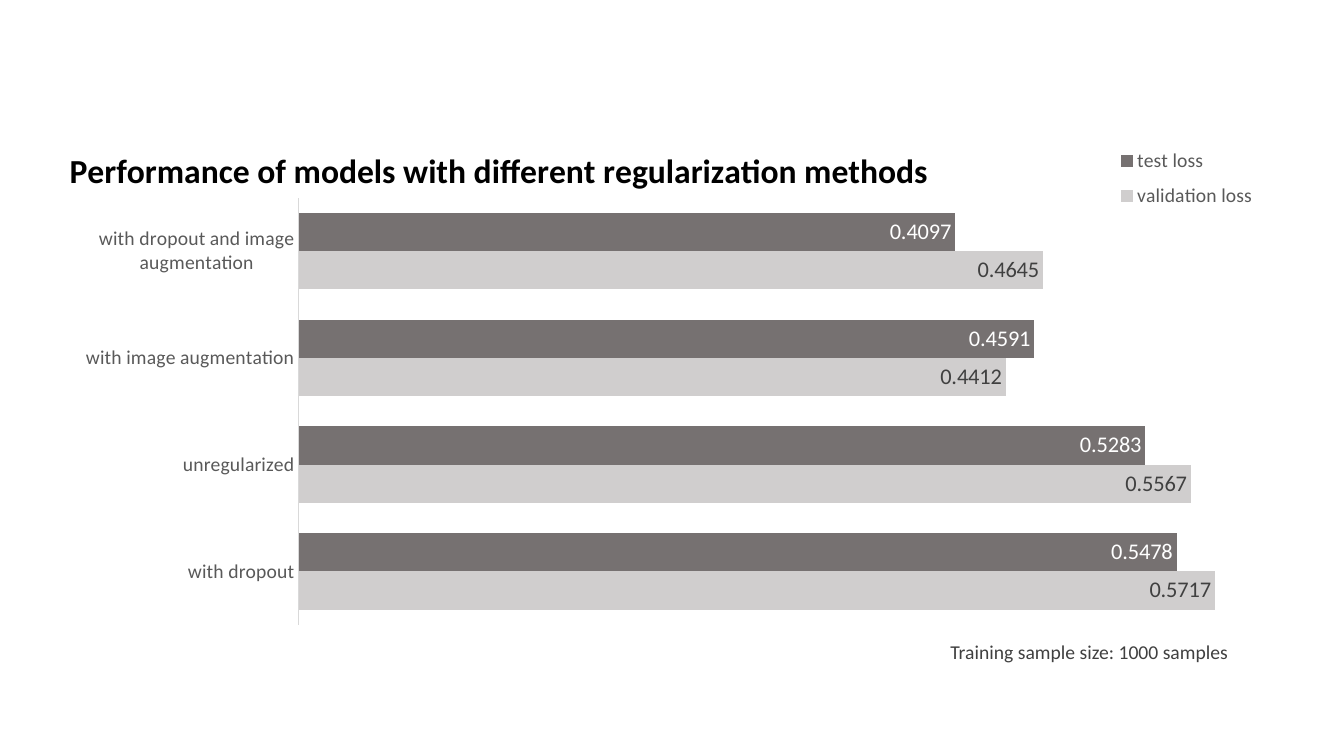
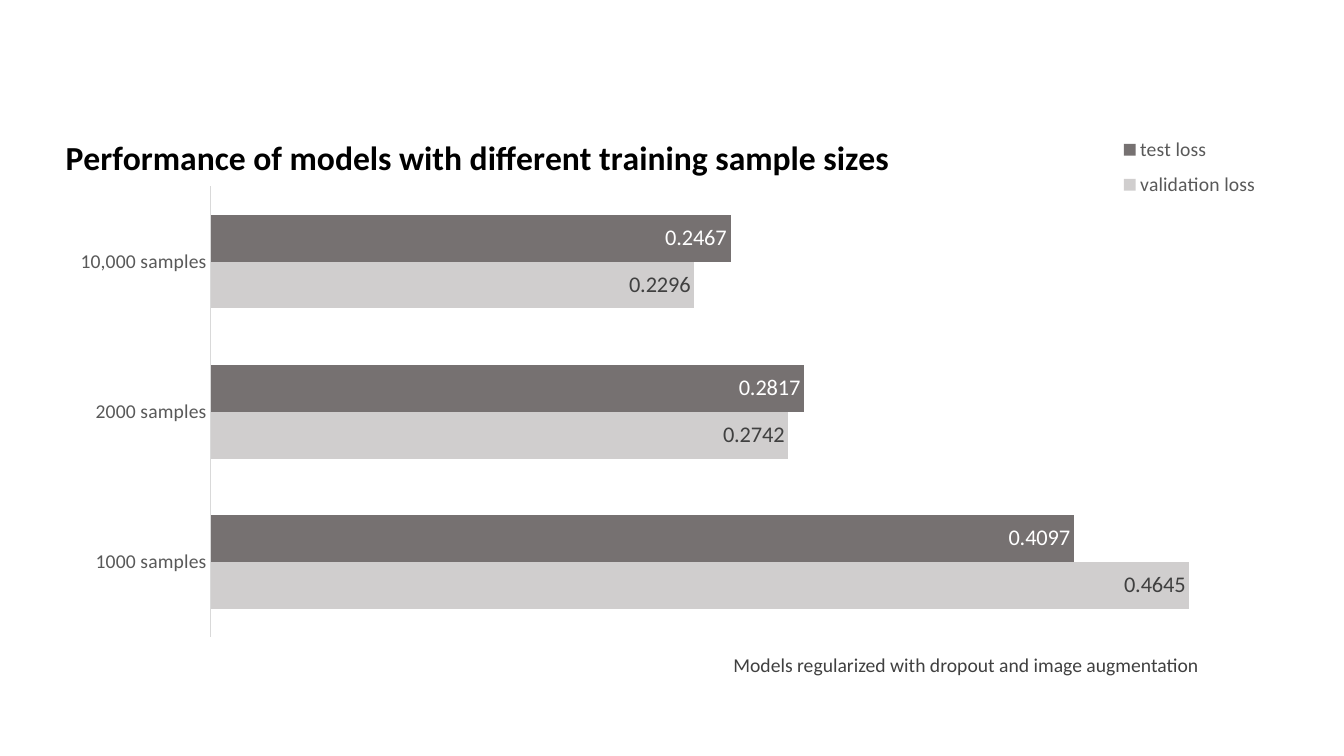
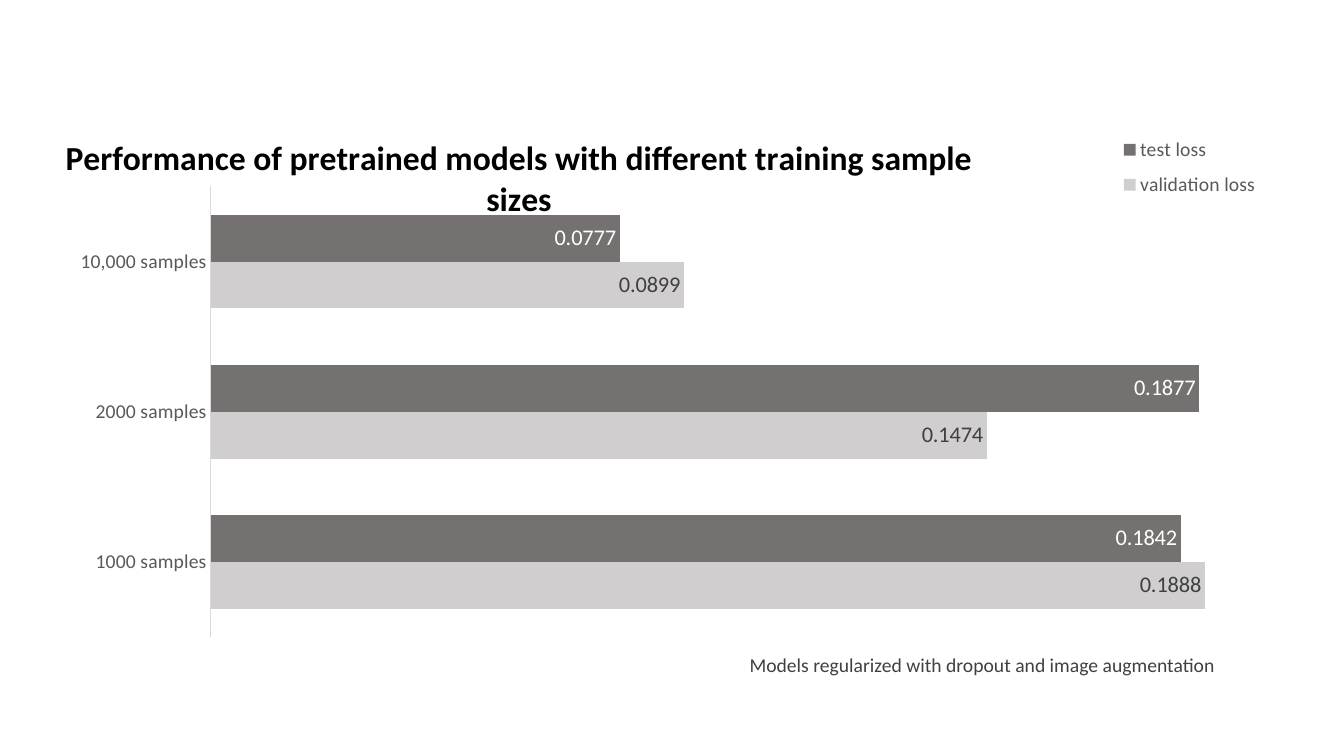
from pptx import Presentation
from pptx.chart.data import CategoryChartData
from pptx.dml.color import RGBColor
from pptx.enum.chart import (XL_CHART_TYPE, XL_LABEL_POSITION,
                             XL_LEGEND_POSITION, XL_TICK_MARK)
from pptx.enum.text import MSO_AUTO_SIZE, PP_ALIGN
from pptx.oxml import parse_xml
from pptx.oxml.ns import nsdecls
from pptx.util import Inches, Pt

FONT = "Calibri"
BLACK = RGBColor(0x00, 0x00, 0x00)
WHITE = RGBColor(0xFF, 0xFF, 0xFF)
DARK_TEXT = RGBColor(0x40, 0x40, 0x40)
AXIS_TEXT = RGBColor(0x59, 0x59, 0x59)
AXIS_LINE = RGBColor(0xD9, 0xD9, 0xD9)
DARK_BAR = RGBColor(0x76, 0x71, 0x71)
LIGHT_BAR = RGBColor(0xD0, 0xCE, 0xCE)

# Series name, bar colour, label colour
SERIES = [("validation loss", LIGHT_BAR, DARK_TEXT),
          ("test loss", DARK_BAR, WHITE)]

# Boxes in inches on the slide: left, top, width, height
METHODS = dict(
    cats=["with dropout", "unregularized", "with image augmentation",
          "with dropout and image augmentation"],
    gap=80, chart=(0.59, 1.2, 12.15, 5.1), plot=(2.96, 1.96, 9.54, 4.24),
    title_at=(0.63, 1.41), legend=(11.02, 1.37, 1.5, 0.8))
SIZES = dict(
    cats=["1000 samples", "2000 samples", "10,000 samples"],
    gap=120, chart=(0.55, 1.07, 12.23, 5.36), plot=(2.09, 1.85, 10.45, 4.47),
    title_at=(0.59, 1.28), legend=(11.05, 1.26, 1.5, 0.8))

SLIDES = [
    dict(METHODS, title="Performance of models with different regularization methods",
         values=[(0.5717, 0.5567, 0.4412, 0.4645),
                 (0.5478, 0.5283, 0.4591, 0.4097)], top_value=0.6,
         note="Training sample size: 1000 samples", note_at=(7.49, 6.3, 4.79, 0.34)),
    dict(SIZES, title="Performance of models with different training sample sizes",
         values=[(0.4645, 0.2742, 0.2296),
                 (0.4097, 0.2817, 0.2467)], top_value=0.5,
         note="Models regularized with dropout and image augmentation",
         note_at=(6.51, 6.43, 5.48, 0.34)),
    dict(SIZES, title="Performance of pretrained models with different training sample sizes",
         values=[(0.1888, 0.1474, 0.0899),
                 (0.1842, 0.1877, 0.0777)], top_value=0.2,
         note="Models regularized with dropout and image augmentation",
         note_at=(6.67, 6.43, 5.48, 0.34)),
]


def set_font(font, size, color, bold=False):
    font.name, font.size, font.bold = FONT, Pt(size), bold
    font.color.rgb = color


def place(chart, tag, index, box, frame, inner=False):
    """Put a chart part at a slide box, as fractions of the chart frame."""
    part = chart._chartSpace.xpath(f"c:chart/c:{tag}")[0]
    for old in part.xpath("c:layout"):
        part.remove(old)
    left, top, width, height = frame
    fractions = [(box[0] - left) / width, (box[1] - top) / height]
    if len(box) == 4:
        fractions += [box[2] / width, box[3] / height]
    target = '<c:layoutTarget val="inner"/>' if inner else ""
    modes = '<c:xMode val="edge"/><c:yMode val="edge"/>'
    sizes = "".join(f'<c:{k} val="{v:.4f}"/>' for k, v in zip("xywh", fractions))
    part.insert(index, parse_xml(
        f'<c:layout {nsdecls("c")}><c:manualLayout>{target}{modes}{sizes}'
        '</c:manualLayout></c:layout>'))


def add_loss_chart(s, d):
    data = CategoryChartData()
    data.categories = d["cats"]
    for (name, _, _), values in zip(SERIES, d["values"]):
        data.add_series(name, values)
    frame = [Inches(v) for v in d["chart"]]
    chart = s.shapes.add_chart(XL_CHART_TYPE.BAR_CLUSTERED, *frame, data).chart
    set_font(chart.font, 10, BLACK)

    # Title and legend
    chart.has_title = True
    p = chart.chart_title.text_frame.paragraphs[0]
    p.text = d["title"]
    set_font(p.font, 24, BLACK, bold=True)
    chart.has_legend = True
    chart.legend.position = XL_LEGEND_POSITION.CORNER
    chart.legend.include_in_layout = True
    set_font(chart.legend.font, 14, AXIS_TEXT)

    # Axes
    axis = chart.category_axis
    axis.major_tick_mark = XL_TICK_MARK.NONE
    axis.format.line.color.rgb = AXIS_LINE
    axis.format.line.width = Pt(0.75)
    set_font(axis.tick_labels.font, 14, AXIS_TEXT)
    axis = chart.value_axis
    axis.minimum_scale, axis.maximum_scale = 0, d["top_value"]
    axis.has_major_gridlines = False
    axis.visible = False

    # Bars and their labels
    plot = chart.plots[0]
    plot.gap_width = d["gap"]
    plot.vary_by_categories = False
    for series, (_, bar_color, label_color) in zip(plot.series, SERIES):
        series.invert_if_negative = False
        series.format.fill.solid()
        series.format.fill.fore_color.rgb = bar_color
        labels = series.data_labels
        labels.show_value = True
        labels.position = XL_LABEL_POSITION.INSIDE_END
        set_font(labels.font, 16, label_color)

    place(chart, "title", 1, d["title_at"], d["chart"])
    place(chart, "legend", 1, d["legend"], d["chart"])
    place(chart, "plotArea", 0, d["plot"], d["chart"], inner=True)


def add_note(s, d):
    tf = s.shapes.add_textbox(*[Inches(v) for v in d["note_at"]]).text_frame
    tf.word_wrap = True
    tf.auto_size = MSO_AUTO_SIZE.SHAPE_TO_FIT_TEXT
    p = tf.paragraphs[0]
    p.text = d["note"]
    p.alignment = PP_ALIGN.RIGHT
    set_font(p.font, 14, DARK_TEXT)


def main():
    prs = Presentation()
    prs.slide_width, prs.slide_height = Inches(13.33), Inches(7.5)
    blank = prs.slide_layouts[6]
    for d in SLIDES:
        s = prs.slides.add_slide(blank)
        add_loss_chart(s, d)
        add_note(s, d)
    prs.save("out.pptx")


if __name__ == "__main__":
    main()
